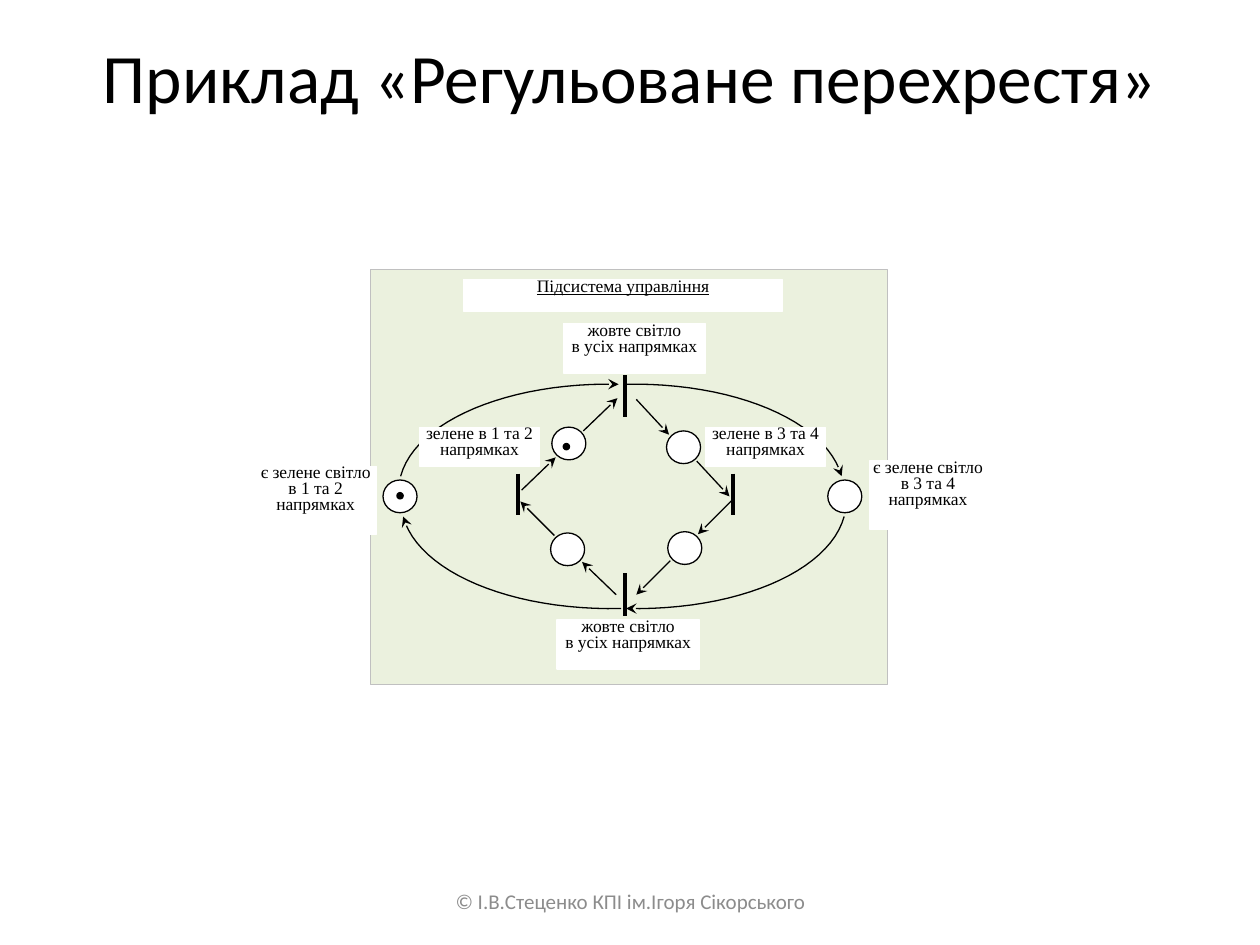
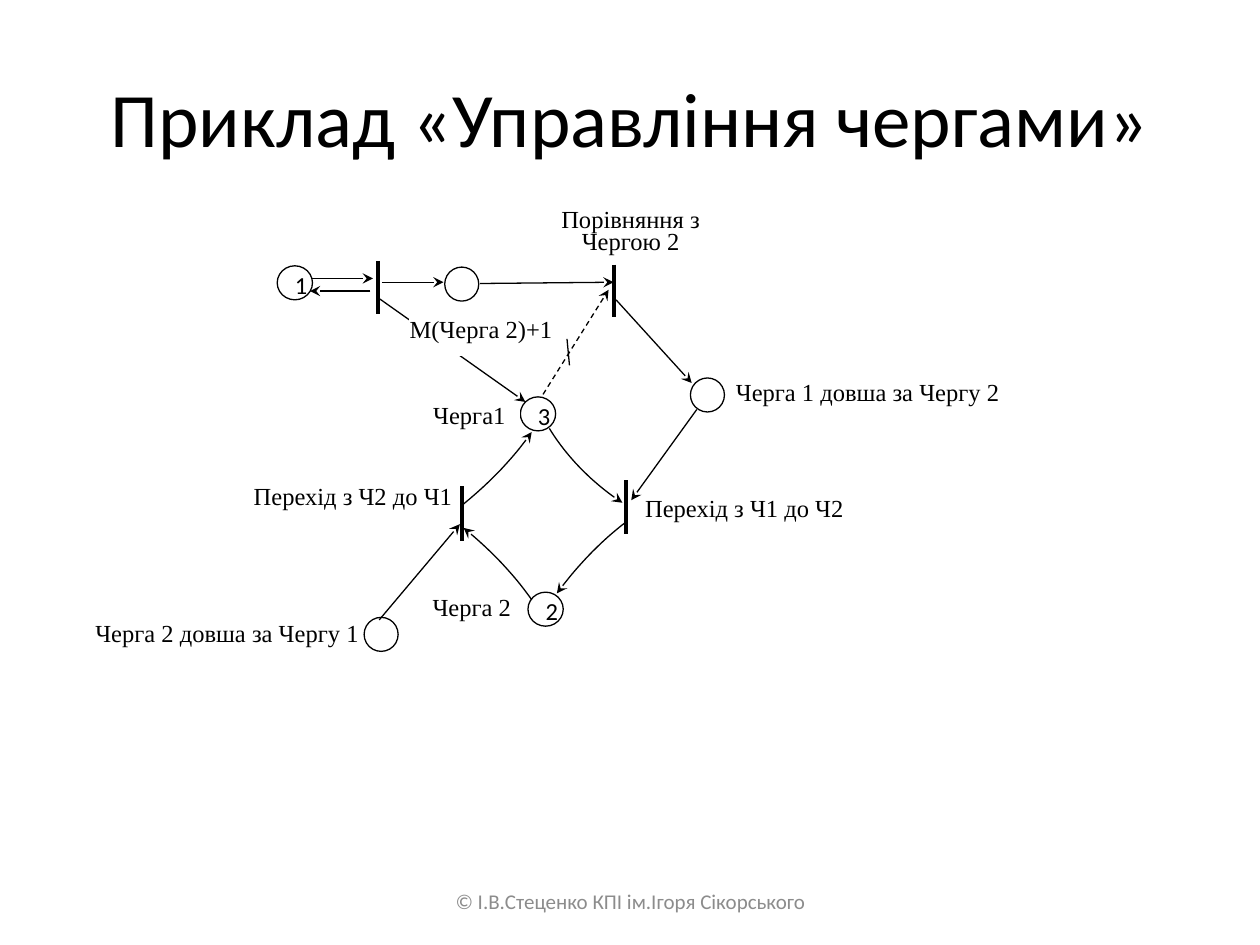
from lxml import etree
from pptx import Presentation, util as u
from pptx.dml.color import RGBColor
from pptx.enum import dml, shapes, text
from pptx.oxml.ns import qn

BLACK, WHITE, GREY = "000000", "FFFFFF", "8C8C8C"
PANEL_FILL, PANEL_EDGE = "EBF1DE", "C0C0C0"
SANS, SERIF = "Calibri", "Times New Roman"
THIN, BAR = 0.75, 2.25
CURVE_STEPS = 24
FOOTER = "© І.В.Стеценко КПІ ім.Ігоря Сікорського"

LEFT, CENTER = text.PP_ALIGN.LEFT, text.PP_ALIGN.CENTER
RIGHT, JUSTIFY = text.PP_ALIGN.RIGHT, text.PP_ALIGN.JUSTIFY
TOP, MIDDLE = text.MSO_ANCHOR.TOP, text.MSO_ANCHOR.MIDDLE
RECT, OVAL = shapes.MSO_SHAPE.RECTANGLE, shapes.MSO_SHAPE.OVAL


def color(value):
    return RGBColor.from_string(value)


def length(inches):
    """Diagram coordinates are in inches; the deck is measured in Cm."""
    return u.Cm(inches * 2.54)


def lengths(values):
    return [length(value) for value in values]


def bezier(start, pull_start, pull_end, end):
    """Points along a cubic curve, both ends included."""
    points = []
    for step in range(CURVE_STEPS + 1):
        t = step / CURVE_STEPS
        s = 1 - t
        weights = (s ** 3, 3 * s * s * t, 3 * s * t * t, t ** 3)
        points.append([
            sum(w * point[axis] for w, point
                in zip(weights, (start, pull_start, pull_end, end)))
            for axis in (0, 1)
        ])
    return points


class PetriDeck:
    """Holds the shared style and the slide being drawn."""

    def __init__(self):
        self.deck = Presentation()
        self.deck.slide_width = u.Cm(25.4)
        self.deck.slide_height = u.Cm(19.05)
        self.page = None

    def start_page(self, title, height, size):
        self.page = self.deck.slides.add_slide(self.deck.slide_layouts[6])
        self.caption(title, (0.5, 0.3, 9, height), size, BLACK)
        self.caption(FOOTER, (3.42, 6.95, 3.17, 0.4), 12, GREY)

    def set_words(self, frame, words, size, ink, font, align=CENTER,
                  anchor=TOP, spacing=None, underline=None):
        frame.word_wrap = True
        frame.vertical_anchor = anchor
        for index, line in enumerate(words.split("\n")):
            para = frame.add_paragraph() if index else frame.paragraphs[0]
            para.alignment = align
            para.line_spacing = spacing
            span = para.add_run()
            span.text = line
            span.font.name = font
            span.font.size = u.Pt(size)
            span.font.underline = underline
            span.font.color.rgb = color(ink)

    def caption(self, words, place, size, ink):
        box = self.page.shapes.add_textbox(*lengths(place))
        self.set_words(box.text_frame, words, size, ink, SANS, anchor=MIDDLE)

    def stroke(self, item, ink=BLACK, width=THIN, dashed=False, arrow=False):
        item.line.color.rgb = color(ink)
        item.line.width = u.Pt(width)
        if dashed:
            item.line.dash_style = dml.MSO_LINE.DASH
        if arrow:
            outline = item.element.spPr.find(qn("a:ln"))
            etree.SubElement(outline, qn("a:tailEnd"), type="stealth")

    def solid(self, kind, place, fill, edge, width=THIN):
        shape = self.page.shapes.add_shape(kind, *lengths(place))
        shape.shadow.inherit = False
        shape.fill.solid()
        shape.fill.fore_color.rgb = color(fill)
        self.stroke(shape, edge, width)
        return shape

    def label(self, words, place, size, align=CENTER, **options):
        box = self.solid(RECT, place, WHITE, WHITE)
        frame = box.text_frame
        frame.margin_left = frame.margin_right = 0
        frame.margin_top = frame.margin_bottom = 0
        self.set_words(frame, words, size, BLACK, SERIF, align,
                       spacing=0.75, **options)

    def place_node(self, left, top, width=0.27, height=0.27, count=None):
        """A Petri net place, with its number of tokens if given."""
        node = self.solid(OVAL, (left, top, width, height), WHITE, BLACK)
        if count:
            self.set_words(node.text_frame, count, 14, BLACK, SANS,
                           spacing=0.75)

    def token(self, left, top):
        self.solid(OVAL, (left, top, 0.05, 0.05), BLACK, BLACK)

    def line(self, x1, y1, x2, y2, **options):
        link = self.page.shapes.add_connector(
            shapes.MSO_CONNECTOR.STRAIGHT, *lengths((x1, y1, x2, y2)))
        self.stroke(link, **options)
        etree.SubElement(link.element.spPr, qn("a:effectLst"))

    def arrow(self, *ends, **options):
        self.line(*ends, arrow=True, **options)

    def transition(self, x, top, bottom):
        self.line(x, top, x, bottom, width=BAR)

    def curved_arrow(self, *controls):
        first, *rest = [lengths(point) for point in bezier(*controls)]
        builder = self.page.shapes.build_freeform(*first)
        builder.add_line_segments(rest, close=False)
        arc = builder.convert_to_shape()
        arc.shadow.inherit = False
        arc.fill.background()
        self.stroke(arc, arrow=True)


def draw_crossroads(net):
    net.start_page("Приклад «Регульоване перехрестя»", 0.61, 39.6)
    net.solid(RECT, (2.94, 2.14, 4.1, 3.29), PANEL_FILL, PANEL_EDGE, 0.25)

    # Outer ring: one quarter curve mirrored about both axes, run clockwise
    middle = 3.94
    for down, axis in ((-1, 4.93), (1, 4.95)):
        for side in (-1, 1):
            quarter = [(axis + side * dx, middle + down * dy) for dx, dy in
                       ((1.75, 0.16), (1.63, 0.6), (0.89, 0.91), (0.02, 0.89))]
            if side != down:
                quarter.reverse()
            net.curved_arrow(*quarter)

    for left, top in ((3.04, 3.81), (6.57, 3.81), (5.29, 3.42),
                      (5.3, 4.22), (4.37, 4.23), (4.38, 3.39)):
        net.place_node(left, top, height=0.26)
    for bar in ((4.96, 2.98, 3.31), (5.82, 3.76, 4.09),
                (4.96, 4.55, 4.89), (4.11, 3.76, 4.09)):
        net.transition(*bar)
    for ends in (
        (5.05, 3.17, 5.31, 3.45), (5.53, 3.66, 5.79, 3.94),
        (5.81, 3.97, 5.54, 4.24), (5.32, 4.45, 5.05, 4.72),
        (4.89, 4.72, 4.62, 4.46), (4.4, 4.25, 4.13, 3.98),
        (4.14, 3.89, 4.41, 3.63), (4.63, 3.42, 4.9, 3.16),
    ):
        net.arrow(*ends)

    net.label("Підсистема управління", (3.68, 2.22, 2.53, 0.25), 10,
              underline=True)
    for left, top in ((4.47, 2.57), (4.42, 4.92)):
        net.label("жовте світло\nв усіх напрямках", (left, top, 1.13, 0.39), 10)
    for roads, inner_left, outer in (
        ("1 та 2", 3.33, (2.02, 3.7, 0.97, 0.54)),
        ("3 та 4", 5.6, (6.9, 3.66, 0.93, 0.54)),
    ):
        net.label(f"зелене в {roads}\nнапрямках",
                  (inner_left, 3.39, 0.95, 0.31), 10)
        net.label(f"є зелене світло в {roads} напрямках", outer, 10)
    net.token(3.15, 3.91)
    net.token(4.47, 3.52)


def draw_queues(net):
    net.start_page("Приклад «Управління чергами»", 1.25, 44)
    net.arrow(3.01, 2.37, 4.17, 3.19)

    for left, top, count in (
        (4.13, 3.15, "3"), (5.48, 3, None), (4.19, 4.7, "2"),
        (2.89, 4.9, None), (2.2, 2.11, "1"), (3.53, 2.12, None),
    ):
        net.place_node(left, top, width=0.28 if count else 0.27, count=count)

    for words, place, align in (
        ("Черга1", (3.33, 3.23, 0.79, 0.13), CENTER),
        ("Черга 2", (3.33, 4.75, 0.83, 0.27), CENTER),
        ("Порівняння з Чергою 2", (4.39, 1.67, 1.23, 0.35), CENTER),
        ("Перехід з Ч2 до Ч1", (1.77, 3.87, 1.82, 0.26), RIGHT),
        ("Перехід з Ч1 до Ч2", (5.12, 3.97, 1.95, 0.25), LEFT),
        ("Черга 1 довша за Чергу 2", (5.84, 3.05, 2.39, 0.24), LEFT),
        ("Черга 2 довша за Чергу 1", (0.69, 4.96, 2.16, 0.18), RIGHT),
    ):
        net.label(words, place, 14, align)
    net.label("М(Черга 2)+1", (3.25, 2.44, 1.21, 0.38), 14, JUSTIFY,
              anchor=MIDDLE)

    for bar in ((3.67, 3.86, 4.29), (4.97, 3.81, 4.24),
                (4.87, 2.1, 2.52), (3, 2.07, 2.49)):
        net.transition(*bar)
    for controls in (
        ((3.68, 4), (3.9, 3.82), (4.08, 3.63), (4.22, 3.43)),
        ((4.22, 4.76), (4.08, 4.56), (3.9, 4.37), (3.68, 4.19)),
        ((4.36, 3.4), (4.5, 3.63), (4.71, 3.84), (4.94, 3.99)),
        ((4.96, 4.15), (4.74, 4.32), (4.56, 4.52), (4.42, 4.71)),
    ):
        net.curved_arrow(*controls)
    for ends in (
        (5.53, 3.25, 5.01, 3.97), (4.89, 2.38, 5.49, 3.04),
        (3.01, 4.92, 3.65, 4.16), (2.47, 2.21, 2.96, 2.21),
        (2.94, 2.31, 2.46, 2.31), (3.03, 2.24, 3.52, 2.24),
        (3.81, 2.25, 4.87, 2.24),
    ):
        net.arrow(*ends)
    net.arrow(4.31, 3.13, 4.83, 2.3, dashed=True)
    net.line(4.5, 2.69, 4.52, 2.9)


def main():
    net = PetriDeck()
    draw_crossroads(net)
    draw_queues(net)
    net.deck.save("out.pptx")


if __name__ == "__main__":
    main()
